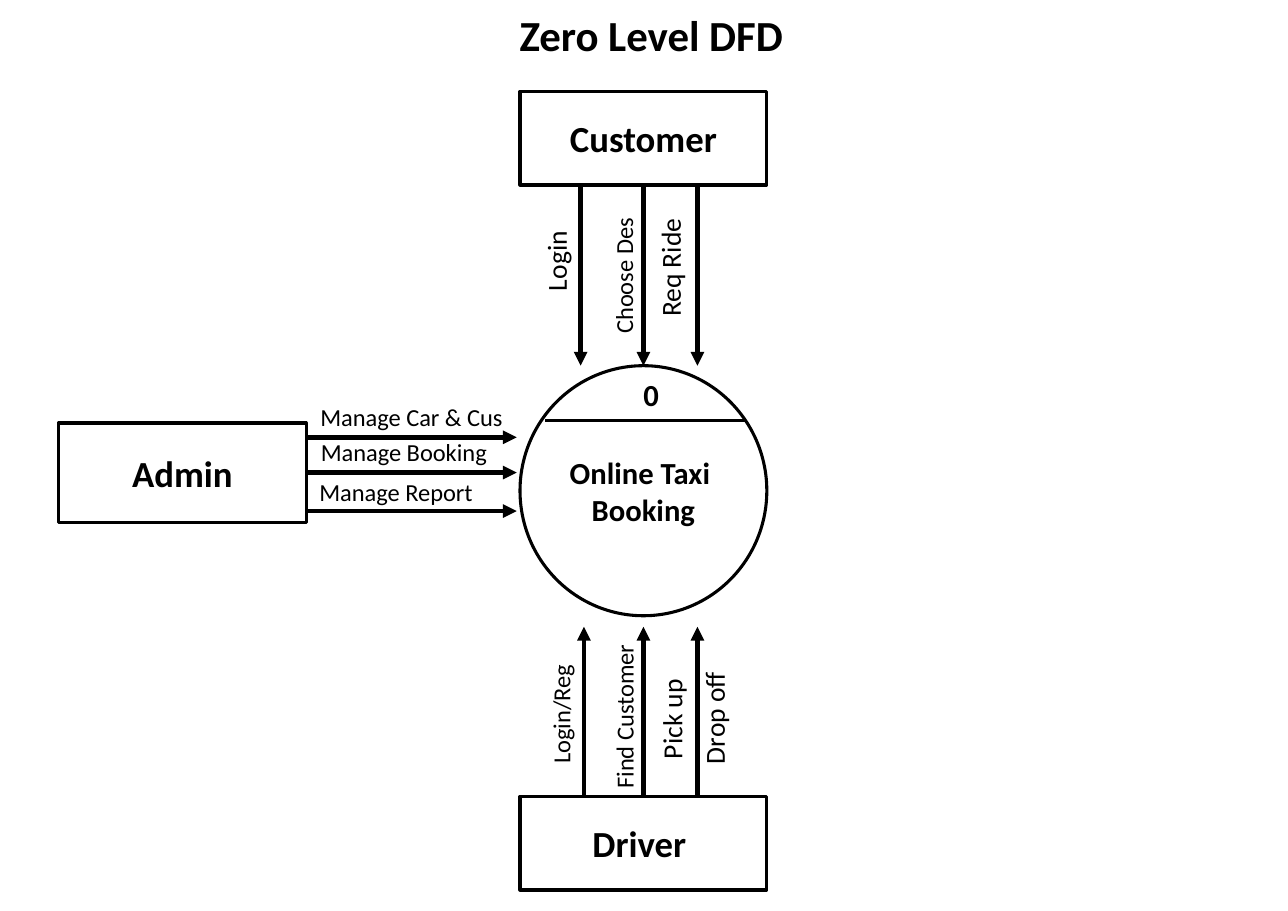
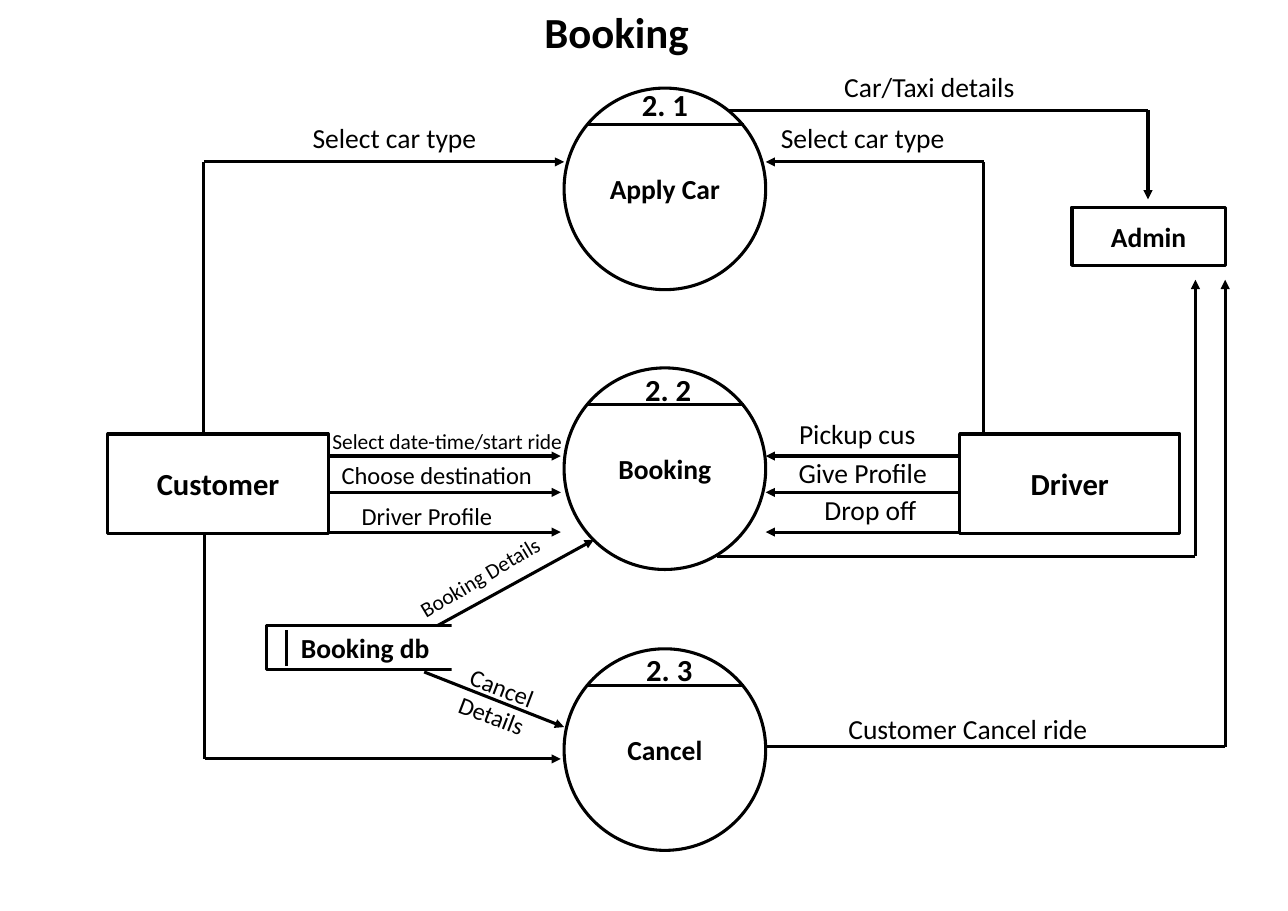
from dataclasses import dataclass
from itertools import pairwise

from lxml.etree import SubElement
from pptx import Presentation
from pptx.dml.color import RGBColor
from pptx.enum.shapes import MSO_CONNECTOR as Link, MSO_SHAPE as Preset
from pptx.enum.text import MSO_ANCHOR as Anchor, MSO_AUTO_SIZE as Fit, PP_ALIGN as Align
from pptx.oxml.ns import qn
from pptx.util import Inches, Pt

FONT = "Calibri"
INK = "000000"
PAPER = "FFFFFF"
TITLE_SIZE = 28
NUMBER_SIZE = 20
TOP, LEFT, BOTTOM, RIGHT = range(4)


@dataclass(frozen=True)
class Node:
    """An entity, process or store with its frame in inches."""
    text: str
    left: float
    top: float
    width: float
    height: float
    size: int
    preset: Preset = Preset.RECTANGLE


@dataclass(frozen=True)
class Label:
    """The wording beside a flow, or a process number."""
    text: str
    left: float
    top: float
    width: float
    size: int = 18
    rotation: float = 0
    bold: bool = False
    height: float = 0.4


@dataclass(frozen=True)
class Flow:
    """A route through points, with optional joints as (node, side)."""
    points: tuple
    width: float = 2
    arrow: bool = True
    begin: tuple | None = None
    end: tuple | None = None


def colour(value: str) -> RGBColor:
    """Turn a hex string into a colour."""
    return RGBColor.from_string(value)


def write(frame, text: str, size: int, bold: bool, anchor: Anchor) -> None:
    """Fill a text frame with centred, wrapped text."""
    frame.text = text
    frame.word_wrap = True
    frame.vertical_anchor = anchor
    for paragraph in frame.paragraphs:
        paragraph.alignment = Align.CENTER
        for run in paragraph.runs:
            run.font.name = FONT
            run.font.size = Pt(size)
            run.font.bold = bold
            run.font.color.rgb = colour(INK)


def add_titled_slide(deck, text: str, left: float, top: float, width: float):
    """Add a slide with its title placed and styled."""
    slide = deck.slides.add_slide(deck.slide_layouts[5])
    title = slide.shapes.title
    title.left, title.top = Inches(left), Inches(top)
    title.width, title.height = Inches(width), Inches(0.57)
    write(title.text_frame, text, TITLE_SIZE, True, Anchor.TOP)
    title.text_frame.auto_size = Fit.NONE
    return slide


def add_node(slide, node: Node, outlined: bool = True):
    """Draw a node with a paper fill."""
    frame = map(Inches, (node.left, node.top, node.width, node.height))
    shape = slide.shapes.add_shape(node.preset, *frame)
    shape.shadow.inherit = False
    shape.fill.solid()
    shape.fill.fore_color.rgb = colour(PAPER)
    if outlined:
        shape.line.color.rgb = colour(INK)
        shape.line.width = Pt(2)
    else:
        shape.line.fill.background()
    if node.text:
        write(shape.text_frame, node.text, node.size, True, Anchor.MIDDLE)
    return shape


def add_flow(slide, flow: Flow, nodes: dict) -> None:
    """Draw each leg of a flow and put the arrowhead on the last."""
    legs = []
    for start, stop in pairwise(flow.points):
        leg = slide.shapes.add_connector(Link.STRAIGHT, *map(Inches, start + stop))
        leg.line.color.rgb = colour(INK)
        leg.line.width = Pt(flow.width)
        SubElement(leg.element.spPr, qn("a:effectLst"))
        legs.append(leg)
    if flow.arrow:
        outline = legs[-1].element.spPr.find(qn("a:ln"))
        SubElement(outline, qn("a:tailEnd"), type="triangle")
    if flow.begin:
        name, side = flow.begin
        legs[0].begin_connect(nodes[name], side)
    if flow.end:
        name, side = flow.end
        legs[-1].end_connect(nodes[name], side)


def add_label(slide, label: Label) -> None:
    """Draw a label, turned if needed."""
    frame = map(Inches, (label.left, label.top, label.width, label.height))
    box = slide.shapes.add_textbox(*frame)
    box.rotation = label.rotation
    write(box.text_frame, label.text, label.size, label.bold, Anchor.TOP)
    box.text_frame.auto_size = Fit.SHAPE_TO_FIT_TEXT


def add_diagram(slide, nodes: list[Node], flows: list[Flow], labels: list[Label]) -> None:
    """Draw nodes, then flows, then labels."""
    drawn = {node.text.strip(): add_node(slide, node) for node in nodes}
    for flow in flows:
        add_flow(slide, flow, drawn)
    for label in labels:
        add_label(slide, label)


def build_zero_level(deck) -> None:
    """Build the context diagram."""
    slide = add_titled_slide(deck, "Zero Level DFD", 4.6, 0.03, 2.62)
    process = "Online Taxi \nBooking"
    nodes = [
        Node("Customer", 4.72, 0.83, 2.24, 0.85, 24),
        Node("Admin", 0.53, 3.84, 2.25, 0.9, 24),
        Node(process, 4.72, 3.32, 2.24, 2.27, 20, Preset.FLOWCHART_CONNECTOR),
        Node("Driver ", 4.72, 7.23, 2.24, 0.85, 24),
    ]
    flows = [Flow(((x, 1.68), (x, 3.32)), 3) for x in (5.27, 6.33)]
    flows += [Flow(((x, 7.23), (x, 5.69)), 3) for x in (5.3, 6.33)]
    flows += [Flow(((2.78, y), (4.69, y)), 3) for y in (3.97, 4.64)]
    flows += [
        Flow(((5.84, 1.68), (5.84, 3.32)), 3, begin=("Customer", BOTTOM), end=(process, TOP)),
        Flow(((5.84, 7.23), (5.84, 5.69)), 3, begin=("Driver", TOP)),
        Flow(((2.78, 4.29), (4.69, 4.29)), 3, begin=("Admin", RIGHT)),
        Flow(((4.95, 3.82), (6.76, 3.82)), arrow=False),
    ]
    labels = [
        Label("Login", 4.62, 2.17, 0.85, 18, 270),
        Label("Choose Des", 5.02, 2.32, 1.28, 16, 270, height=0.37),
        Label("Req Ride", 5.43, 2.23, 1.3, 18, 270),
        Label("Manage Car & Cus", 2.61, 3.6, 2.25, 16),
        Label("Manage Booking", 2.54, 3.92, 2.25, 16),
        Label("Manage Report", 2.47, 4.28, 2.25, 16),
        Label("Login/Reg", 4.38, 6.3, 1.42, 16, 270, height=0.37),
        Label("Find Customer", 4.73, 6.32, 1.87, 16, 270, height=0.37),
        Label("Pick up ", 5.59, 6.3, 1.01, 18, 270),
        Label("Drop off ", 5.85, 6.29, 1.26, 18, 270),
        Label("0", 5.73, 3.36, 0.36, NUMBER_SIZE, bold=True, height=0.44),
    ]
    add_diagram(slide, nodes, flows, labels)


def build_booking(deck) -> None:
    """Build the booking diagram."""
    slide = add_titled_slide(deck, "Booking", 4.68, 0, 1.83)
    process_tops = {"Apply Car": 0.8, "Booking": 3.34, "Cancel": 5.89}
    nodes = [
        Node(name, 5.12, top, 1.83, 1.83, 18, Preset.FLOWCHART_CONNECTOR)
        for name, top in process_tops.items()
    ]
    nodes += [
        Node("Customer", 0.98, 3.94, 2, 0.9, 20),
        Node("Driver", 8.71, 3.94, 2, 0.9, 20),
        Node("Admin", 9.73, 1.88, 1.39, 0.53, 18),
    ]
    add_node(slide, Node("Booking db", 2.42, 5.68, 1.79, 0.4, 18))
    add_node(slide, Node("", 4.1, 5.64, 1.17, 0.47, 18), outlined=False)

    flows = [
        Flow(((5.33, top + 0.33), (6.75, top + 0.33)), arrow=False)
        for top in process_tops.values()
    ]
    for y in (4.14, 4.47, 4.83):
        flows += [Flow(((2.98, y), (5.09, y))), Flow(((8.71, y), (6.95, y)))]
    flows += [
        Flow(((1.85, 3.94), (1.85, 1.47), (5.12, 1.47))),
        Flow(((1.86, 4.83), (1.86, 6.89), (5.09, 6.89))),
        Flow(((8.93, 3.94), (8.93, 1.47), (6.95, 1.47))),
        Flow(((6.51, 5.05), (10.85, 5.05), (10.85, 2.54))),
        Flow(((6.95, 6.78), (11.12, 6.78), (11.12, 2.54))),
        Flow(((6.62, 1), (10.42, 1), (10.42, 1.81))),
        Flow(((3.97, 5.68), (5.39, 4.9))),
        Flow(((3.85, 6.1), (5.12, 6.6))),
        Flow(((2.6, 5.72), (2.6, 6.05)), 2.25, arrow=False),
    ]
    labels = [
        Label("Select car type", 2.67, 1.05, 1.82),
        Label("Select date-time/start ride", 2.51, 3.84, 3.1, 14),
        Label("Choose destination", 2.71, 4.13, 2.51, 16),
        Label("Driver Profile", 2.98, 4.5, 1.79, 16),
        Label("Booking Details", 3.44, 5.07, 1.83, 14, 329.3, height=0.34),
        Label("Cancel Details", 4, 6.05, 1.02, 16, 20.9, height=0.64),
        Label("Pickup cus", 7.07, 3.74, 1.42),
        Label("Give Profile", 7.12, 4.09, 1.42),
        Label("Drop off", 7.1, 4.43, 1.6),
        Label("Select car type", 6.92, 1.05, 1.82),
        Label("Customer Cancel ride", 7.52, 6.41, 2.53),
        Label("Car/Taxi details", 7.52, 0.59, 1.83),
    ]
    numbers = (("2. 1", 5.71, 0.73), ("2. 2", 5.74, 3.32), ("2. 3", 5.75, 5.86))
    labels += [
        Label(number, left, top, 0.65, NUMBER_SIZE, bold=True, height=0.44)
        for number, left, top in numbers
    ]
    add_diagram(slide, nodes, flows, labels)


def main() -> None:
    """Build and save the deck."""
    deck = Presentation()
    deck.slide_width, deck.slide_height = Inches(11.69), Inches(8.27)
    build_zero_level(deck)
    build_booking(deck)
    deck.save("out.pptx")


if __name__ == "__main__":
    main()
